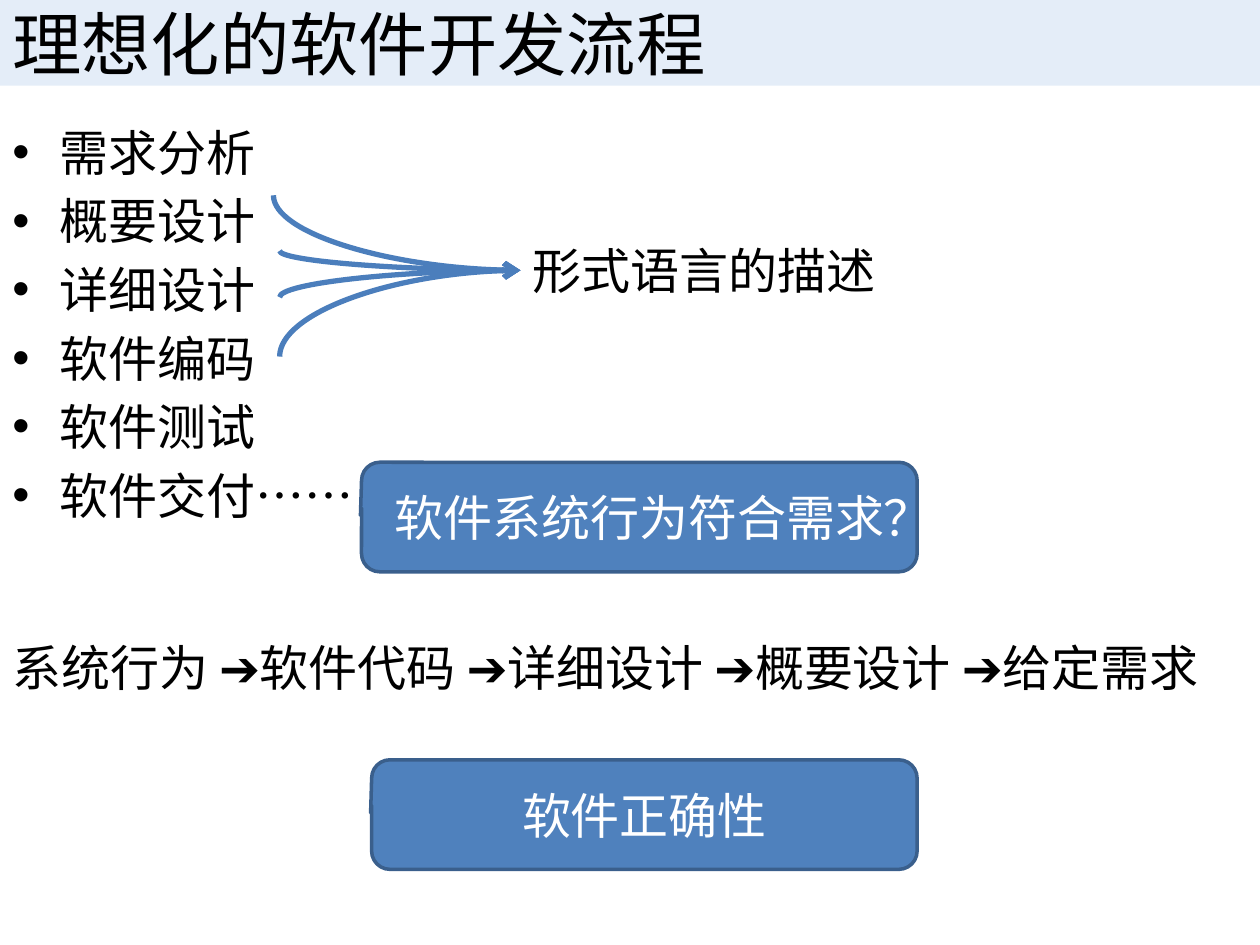
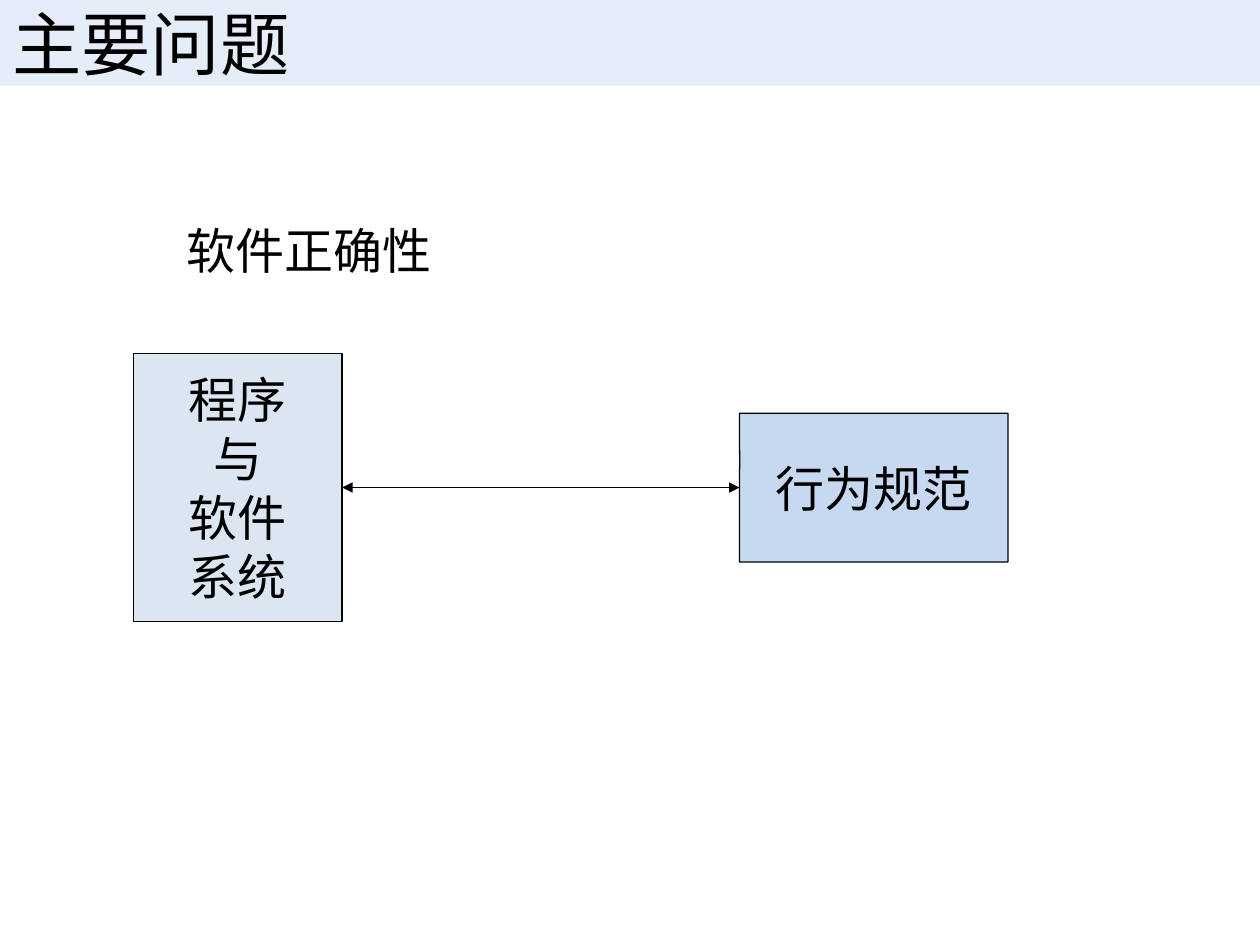
"""Build two slides on the ideal software process and software correctness."""
from dataclasses import dataclass

from lxml import etree
from pptx import Presentation
from pptx.dml.color import RGBColor
from pptx.enum import shapes, text
from pptx.oxml import ns
from pptx.util import Pt


@dataclass(frozen=True)
class Theme:
    font: str = "Calibri"
    title_size: float = 39.6
    body_size: float = 28
    ink: str = "000000"
    light: str = "FFFFFF"
    band: str = "C6D9F1"
    band_opacity: int = 47
    callout: str = "4F81BD"
    callout_edge: str = "3A5F8C"
    curve: str = "4B7EBC"
    program: str = "DCE6F2"
    behaviour: str = "C6D9F1"


THEME = Theme()
WIDTH, HEIGHT = 720, 540
BAND_HEIGHT = 49
INDENT = 27

PROCESS_TITLE = "理想化的软件开发流程"
STEPS = ["需求分析", "概要设计", "详细设计", "软件编码", "软件测试", "软件交付……"]
CHAIN = ["系统行为", "软件代码", "详细设计", "概要设计", "给定需求"]
FORMAL_LABEL = "形式语言的描述"
FORMAL_BOX = (297.4, 134, 212.4, 41)
CURVE_STARTS = [(156.2, 111.6), (159.8, 203.8), (159.8, 143.3), (159.8, 169.9)]
CALLOUTS = [
    ("软件系统行为符合需求？", (206.6, 264.2, 317.5, 62.6)),
    ("软件正确性", (212.4, 434.2, 311.7, 62.6)),
]
CALLOUT_TAIL = (-0.502, -0.014, 0.167)

PROBLEM_TITLE = "主要问题"
PROBLEM_LABEL = "软件正确性"
PROGRAM_LINES = ["程序", "与", "软件", "系统"]
BEHAVIOUR_LABEL = "行为规范"
AXIS_Y = 278.6
PROGRAM_LEFT, PROGRAM_SIZE = 76.3, (119.2, 153.4)
BEHAVIOUR_LEFT, BEHAVIOUR_SIZE = 422.6, (153.4, 85)
BEHAVIOUR_TAIL = (-0.499, -0.17)


def points(values):
    return [Pt(value) for value in values]


def add_xml(parent, tag, **attributes):
    return etree.SubElement(parent, ns.qn(tag), attributes)


def write(shape, lines, size=THEME.body_size, color=THEME.ink, align=text.PP_ALIGN.LEFT,
          anchor=text.MSO_ANCHOR.TOP, wrap=True, bullets=False):
    frame = shape.text_frame
    frame.word_wrap = wrap
    frame.vertical_anchor = anchor
    for index, line in enumerate(lines):
        paragraph = frame.add_paragraph() if index else frame.paragraphs[0]
        paragraph.text = line
        paragraph.alignment = align
        if bullets:
            paragraph.space_before = Pt(size * 0.2 if index else 0)
            properties = paragraph._p.get_or_add_pPr()
            properties.set("marL", str(Pt(INDENT)))
            properties.set("indent", str(-Pt(INDENT)))
            add_xml(properties, "a:buFont", typeface="Arial")
            add_xml(properties, "a:buChar", char="•")
        paragraph.font.name = THEME.font
        paragraph.font.size = Pt(size)
        paragraph.font.color.rgb = RGBColor.from_string(color)


def add_text(slide, box, lines, **style):
    write(slide.shapes.add_textbox(*points(box)), lines, **style)


def add_box(slide, kind, box, fill, edge=None, edge_width=0.75, adjustments=()):
    shape = slide.shapes.add_shape(kind, *points(box))
    shape.shadow.inherit = False
    shape.fill.solid()
    shape.fill.fore_color.rgb = RGBColor.from_string(fill)
    if edge:
        shape.line.color.rgb = RGBColor.from_string(edge)
        shape.line.width = Pt(edge_width)
    else:
        shape.line.fill.background()
    for index, value in enumerate(adjustments):
        shape.adjustments[index] = value
    return shape


def add_line(slide, kind, start, end, color, width, **arrowheads):
    connector = slide.shapes.add_connector(kind, *points(start + end))
    connector.line.color.rgb = RGBColor.from_string(color)
    connector.line.width = Pt(width)
    outline = connector.line._get_or_add_ln()
    for side in ("head", "tail"):
        if side in arrowheads:
            add_xml(outline, f"a:{side}End", type=arrowheads[side])
    add_xml(connector._element.spPr, "a:effectLst")
    return connector


def add_curve(slide, start, end):
    """Draw a quarter curve that leaves start vertically and reaches end horizontally."""
    across, down = abs(end[0] - start[0]), abs(end[1] - start[1])
    left = (start[0] + end[0] - down) / 2
    top = (start[1] + end[1] - across) / 2
    connector = add_line(slide, shapes.MSO_CONNECTOR.CURVE, (left, top),
                         (left + down, top + across), THEME.curve, 3, tail="arrow")
    properties = connector._element.spPr
    properties.find(ns.qn("a:prstGeom")).set("prst", "curvedConnector2")
    frame = properties.find(ns.qn("a:xfrm"))
    rising = start[1] > end[1]
    frame.set("rot", str((90 if rising else 270) * 60000))
    frame.set("flipH", "1")
    if rising:
        frame.set("flipV", "1")


def add_titled_slide(presentation, title):
    slide = presentation.slides.add_slide(presentation.slide_layouts[6])
    band = add_box(slide, shapes.MSO_SHAPE.RECTANGLE, (0, 0, WIDTH, BAND_HEIGHT), THEME.band)
    color = band._element.spPr.find(".//" + ns.qn("a:srgbClr"))
    add_xml(color, "a:alpha", val=str(THEME.band_opacity * 1000))
    write(band, [title], size=THEME.title_size, anchor=text.MSO_ANCHOR.MIDDLE)
    return slide


def build_process(presentation):
    slide = add_titled_slide(presentation, PROCESS_TITLE)
    add_text(slide, (0, 66.2, WIDTH, HEIGHT - 66.2), STEPS, bullets=True)
    add_text(slide, (0, 360.7, WIDTH, 41), [" ➔".join(CHAIN)])
    add_text(slide, FORMAL_BOX, [FORMAL_LABEL], wrap=False)
    left, top, _, height = FORMAL_BOX
    for start in CURVE_STARTS:
        add_curve(slide, start, (left, top + height / 2))
    for label, box in CALLOUTS:
        callout = add_box(slide, shapes.MSO_SHAPE.ROUNDED_RECTANGULAR_CALLOUT, box,
                          THEME.callout, THEME.callout_edge, 2, CALLOUT_TAIL)
        write(callout, [label], color=THEME.light, align=text.PP_ALIGN.CENTER,
              anchor=text.MSO_ANCHOR.MIDDLE)


def build_problem(presentation):
    slide = add_titled_slide(presentation, PROBLEM_TITLE)
    add_text(slide, (99.4, 122.4, 244, 45.4), [PROBLEM_LABEL])
    kinds = shapes.MSO_SHAPE
    sides = []
    for kind, left, (width, height), fill, tail, lines in (
        (kinds.RECTANGLE, PROGRAM_LEFT, PROGRAM_SIZE, THEME.program, (), PROGRAM_LINES),
        (kinds.RECTANGULAR_CALLOUT, BEHAVIOUR_LEFT, BEHAVIOUR_SIZE, THEME.behaviour,
         BEHAVIOUR_TAIL, [BEHAVIOUR_LABEL]),
    ):
        box = (left, AXIS_Y - height / 2, width, height)
        side = add_box(slide, kind, box, fill, THEME.ink, adjustments=tail)
        write(side, lines, align=text.PP_ALIGN.CENTER, anchor=text.MSO_ANCHOR.MIDDLE, wrap=False)
        sides.append(side)
    link = add_line(slide, shapes.MSO_CONNECTOR.STRAIGHT,
                    (PROGRAM_LEFT + PROGRAM_SIZE[0], AXIS_Y), (BEHAVIOUR_LEFT, AXIS_Y),
                    THEME.ink, 0.75, head="triangle", tail="triangle")
    link.begin_connect(sides[0], 3)
    link.end_connect(sides[1], 1)


def main():
    presentation = Presentation()
    presentation.slide_width, presentation.slide_height = points((WIDTH, HEIGHT))
    build_process(presentation)
    build_problem(presentation)
    presentation.save("out.pptx")


if __name__ == "__main__":
    main()
